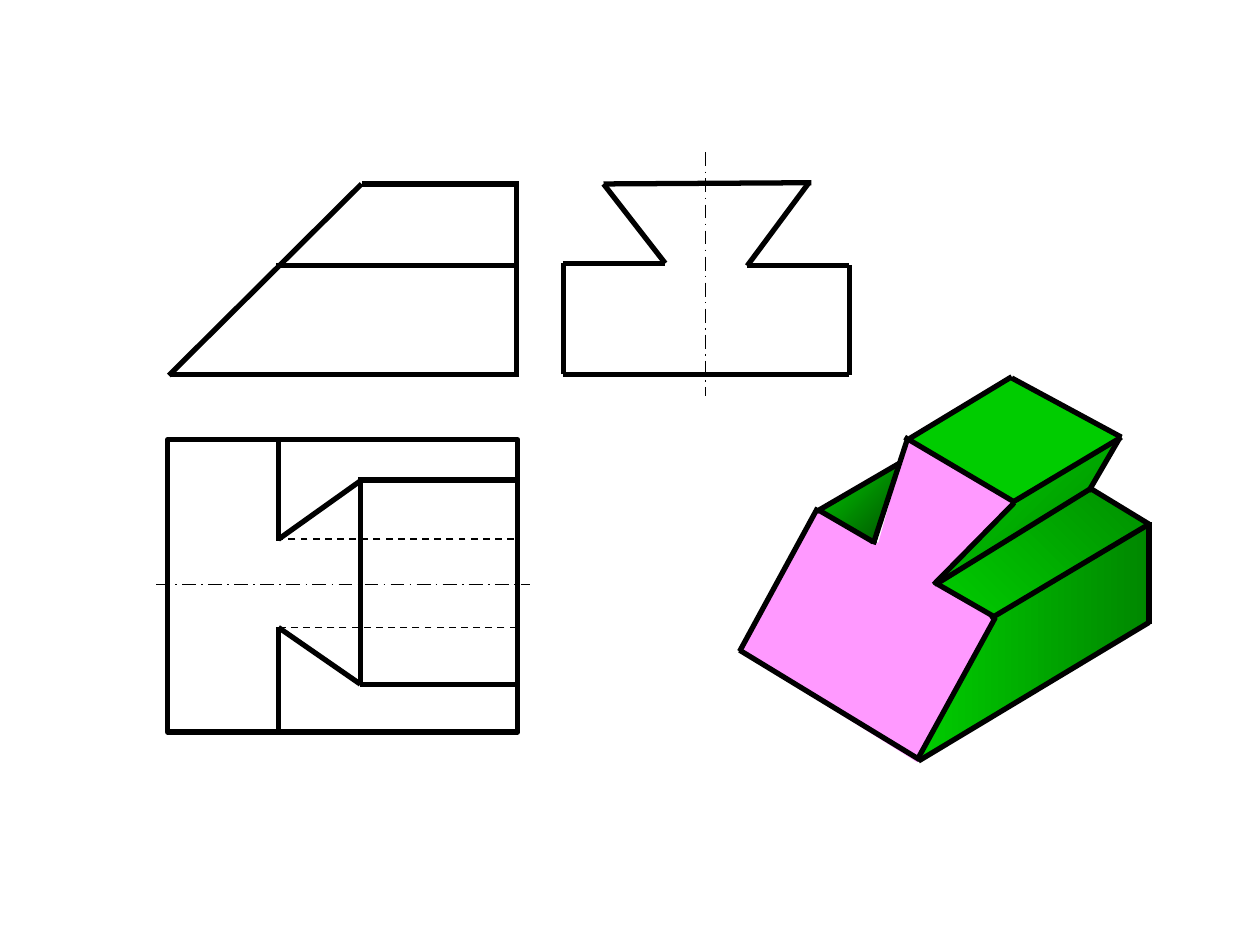
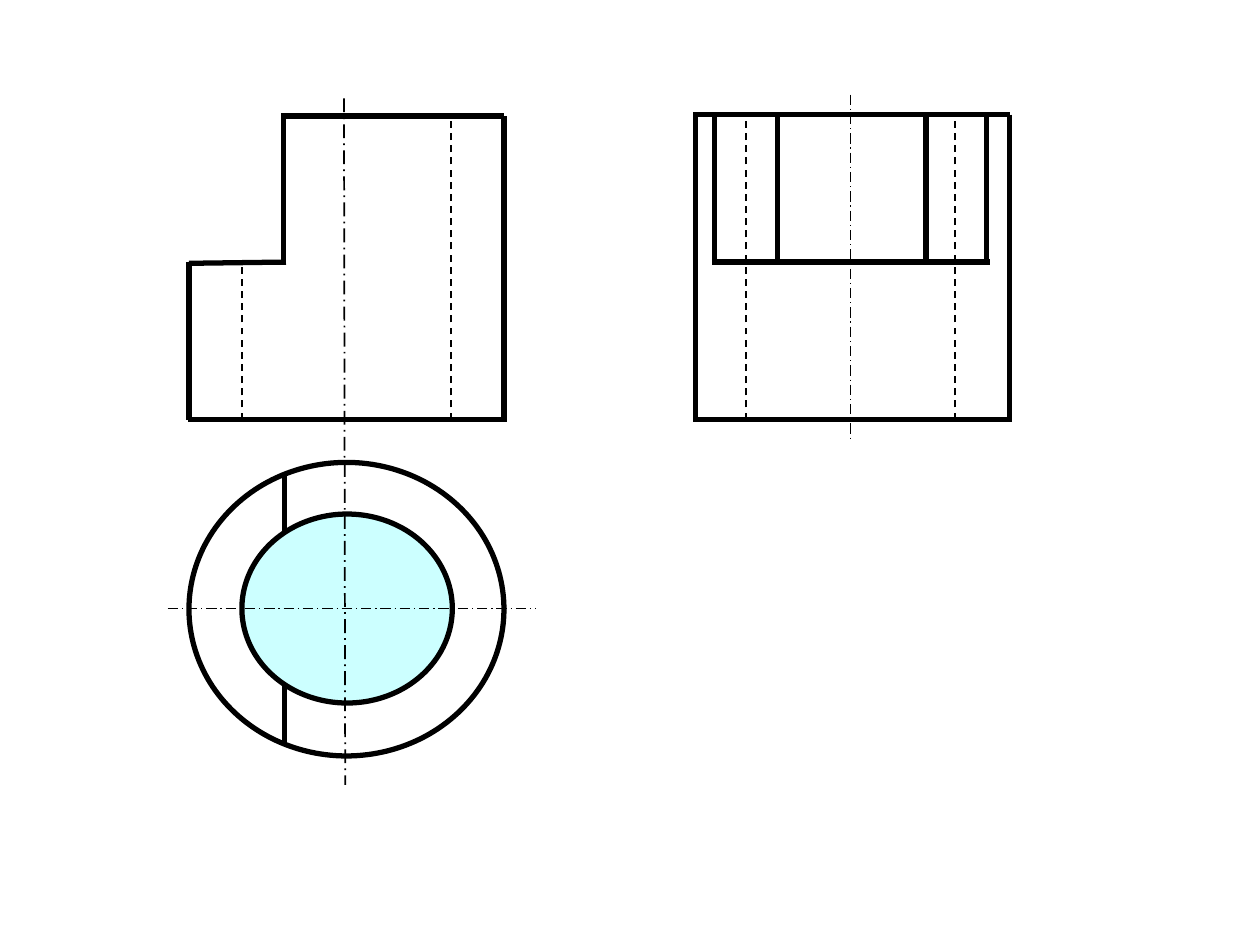
"""Builds two slides of orthographic views: a dovetail block and a notched ring."""
from dataclasses import dataclass

from lxml.etree import SubElement
from pptx import Presentation
from pptx.dml.color import RGBColor
from pptx.enum.dml import MSO_LINE as Dash
from pptx.enum.shapes import MSO_CONNECTOR as Link, MSO_SHAPE as Preset
from pptx.oxml.ns import qn
from pptx.util import Inches, Pt


@dataclass(frozen=True)
class Theme:
    """Colours and pen widths of both drawings."""
    ink: str = "000000"
    cut_face: str = "FF99FF"
    green: str = "00CC00"
    pocket_shade: str = "004F00"
    flank_shade: str = "008B00"
    side_shade: str = "008700"
    ledge_shade: str = "008F00"
    bore: str = "CCFFFF"
    thick: float = 3
    thin: float = 1
    fine: float = 0.75


THEME = Theme()
EDGE = {"width": Pt(THEME.thick)}
THIN = {"width": Pt(THEME.thin)}
HIDDEN = {"width": Pt(THEME.thin), "dash_style": Dash.DASH}
AXIS = {"width": Pt(THEME.thin), "dash_style": Dash.LONG_DASH_DOT}
FINE_AXIS = {"width": Pt(THEME.fine), "dash_style": Dash.LONG_DASH_DOT}


def set_pen(line, pen):
    """Apply ink and a pen format to a line."""
    line.color.rgb = RGBColor.from_string(THEME.ink)
    for name, value in pen.items():
        setattr(line, name, value)


def add_lines(view, segments, pen=EDGE):
    """Draw straight segments given as (x1, y1, x2, y2) in inches."""
    for segment in segments:
        stroke = view.shapes.add_connector(Link.STRAIGHT, *map(Inches, segment))
        set_pen(stroke.line, pen)
        SubElement(stroke._element.spPr, qn("a:effectLst"))


def paint(part, colour=None, shade=None, angle=0, pen=None):
    """Fill a part plainly, with a shaded gradient or not at all, and ink its outline."""
    part.shadow.inherit = False
    if shade:
        part.fill.gradient()
        part.fill.gradient_angle = 360 - angle
        for stop, tone in zip(part.fill.gradient_stops, (shade, colour)):
            stop.color.rgb = RGBColor.from_string(tone)
    elif colour:
        part.fill.solid()
        part.fill.fore_color.rgb = RGBColor.from_string(colour)
    else:
        part.fill.background()
    if pen:
        set_pen(part.line, pen)
    else:
        part.line.fill.background()


def add_face(view, corners, colour, **finish):
    """Add one closed face of the solid."""
    start, *rest = [tuple(map(Inches, corner)) for corner in corners]
    builder = view.shapes.build_freeform(*start)
    builder.add_line_segments(rest, close=True)
    paint(builder.convert_to_shape(), colour, **finish)


def add_outline(view, preset, box, colour=None):
    """Add a thickly outlined preset shape."""
    paint(view.shapes.add_shape(preset, *map(Inches, box)), colour, pen=EDGE)


def draw_dovetail_solid(view):
    """Draw the shaded pictorial view of the dovetail block."""
    green = THEME.green
    add_face(view, [(6.48, 4.06), (6.97, 4.31), (7.2, 3.49), (8.06, 3.99),
                    (7.41, 4.62), (7.91, 4.91), (7.28, 6.05), (5.87, 5.17)],
             THEME.cut_face)
    add_face(view, [(6.49, 4.06), (6.95, 4.32), (7.13, 3.68)],
             green, shade=THEME.pocket_shade, angle=225)
    add_face(view, [(7.2, 3.49), (8.06, 3.99), (8.9, 3.48), (8.03, 3)],
             green, pen=THIN)
    add_face(view, [(8.06, 3.98), (7.41, 4.64), (8.65, 3.89), (8.9, 3.46)],
             green, shade=THEME.flank_shade, angle=225)
    add_face(view, [(7.89, 4.89), (7.29, 6.04), (9.13, 4.93), (9.13, 4.16)],
             green, shade=THEME.side_shade, angle=180)
    add_face(view, [(7.45, 4.62), (8.66, 3.88), (9.13, 4.16), (7.87, 4.9)],
             green, shade=THEME.ledge_shade, angle=135)
    add_lines(view, [
        (8.03, 3, 8.9, 3.47), (8.03, 2.99, 7.22, 3.48), (9.12, 4.94, 7.29, 6.04),
        (9.12, 4.95, 9.12, 4.14), (9.12, 4.16, 8.66, 3.88), (8.9, 3.47, 8.03, 3.99),
        (9.12, 4.16, 7.86, 4.91), (8.06, 3.99, 7.18, 3.47), (8.64, 3.9, 8.89, 3.47),
        (8.67, 3.87, 7.44, 4.63), (7.43, 4.63, 7.9, 4.9), (7.9, 4.9, 7.28, 6.03),
        (8.05, 3.99, 7.41, 4.64), (7.2, 3.49, 6.93, 4.32), (6.5, 4.05, 6.93, 4.3),
        (6.48, 4.06, 7.15, 3.67), (7.3, 6.03, 5.87, 5.16), (6.49, 4.03, 5.87, 5.17)])


def draw_dovetail_elevations(view):
    """Draw the side and front views of the dovetail block."""
    add_lines(view, [(5.6, 1.21, 5.6, 3.14)], AXIS)
    side = [(4.47, 2.97, 6.74, 2.97), (4.79, 1.46, 6.44, 1.45),
            (4.47, 2.97, 4.47, 2.09), (6.74, 2.98, 6.74, 2.1),
            (4.47, 2.09, 5.28, 2.09), (5.93, 2.11, 6.74, 2.11),
            (5.28, 2.09, 4.79, 1.46), (5.93, 2.11, 6.42, 1.45)]
    front = [(4.12, 2.97, 1.35, 2.97), (4.1, 2.96, 4.1, 1.44),
             (4.1, 1.46, 2.87, 1.46), (2.87, 1.46, 1.34, 2.98),
             (4.1, 2.11, 2.19, 2.11)]
    add_lines(view, side + front)


def draw_dovetail_plan(view):
    """Draw the top view of the dovetail block."""
    add_outline(view, Preset.RECTANGLE, (1.33, 3.49, 2.78, 2.32))
    add_lines(view, [(1.24, 4.64, 4.21, 4.64)], AXIS)
    add_lines(view, [(4.08, 4.28, 2.21, 4.28), (4.1, 4.98, 2.23, 4.98)], HIDDEN)
    add_lines(view, [
        (4.1, 3.81, 2.84, 3.81), (4.1, 5.43, 2.86, 5.43), (2.86, 3.81, 2.86, 5.43),
        (2.21, 4.28, 2.87, 3.81), (2.21, 4.98, 2.86, 5.43),
        (2.21, 3.48, 2.21, 4.29), (2.21, 4.98, 2.21, 5.81)])


def draw_ring_front_and_plan(view):
    """Draw the front view and the top view of the notched ring."""
    add_lines(view, [(2.26, 3.76, 2.26, 5.91)])
    add_outline(view, Preset.OVAL, (1.92, 4.08, 1.67, 1.5), THEME.bore)
    add_outline(view, Preset.OVAL, (1.5, 3.67, 2.5, 2.33))
    add_lines(view, [
        (1.49, 3.33, 4.02, 3.33), (4, 0.92, 4, 3.35), (2.25, 0.9, 2.25, 2.1),
        (2.27, 2.08, 1.5, 2.09), (1.5, 2.08, 1.5, 3.33), (2.25, 0.92, 4, 0.92)])
    add_lines(view, [(2.73, 0.78, 2.74, 6.23)], AXIS)
    add_lines(view, [(1.33, 4.83, 4.25, 4.83)], FINE_AXIS)
    add_lines(view, [(1.92, 3.33, 1.92, 2.08), (3.58, 3.33, 3.58, 0.92)], HIDDEN)


def draw_ring_side(view):
    """Draw the side view of the notched ring."""
    top, notch, base = 0.92, 2.08, 3.33
    add_lines(view, [(6.75, 0.75, 6.75, 3.48)], FINE_AXIS)
    add_lines(view, [(5.65, notch, 7.86, notch), (5.5, 0.91, 8.02, 0.91),
                     (5.5, base, 8.03, base)])
    add_lines(view, [(x, 0.91, x, base) for x in (5.52, 8.01)])
    add_lines(view, [(x, notch, x, top) for x in (5.67, 6.17, 7.35, 7.83)])
    add_lines(view, [(x, base, x, top) for x in (5.92, 7.58)], HIDDEN)


def main():
    """Build and save the presentation."""
    deck = Presentation()
    deck.slide_width, deck.slide_height = Inches(10), Inches(7.5)
    blank_layout = deck.slide_layouts[6]
    dovetail_views = (draw_dovetail_solid, draw_dovetail_elevations, draw_dovetail_plan)
    ring_views = (draw_ring_front_and_plan, draw_ring_side)
    for views in (dovetail_views, ring_views):
        slide = deck.slides.add_slide(blank_layout)
        for draw_view in views:
            draw_view(slide.shapes.add_group_shape())
    deck.save("out.pptx")


if __name__ == "__main__":
    main()
